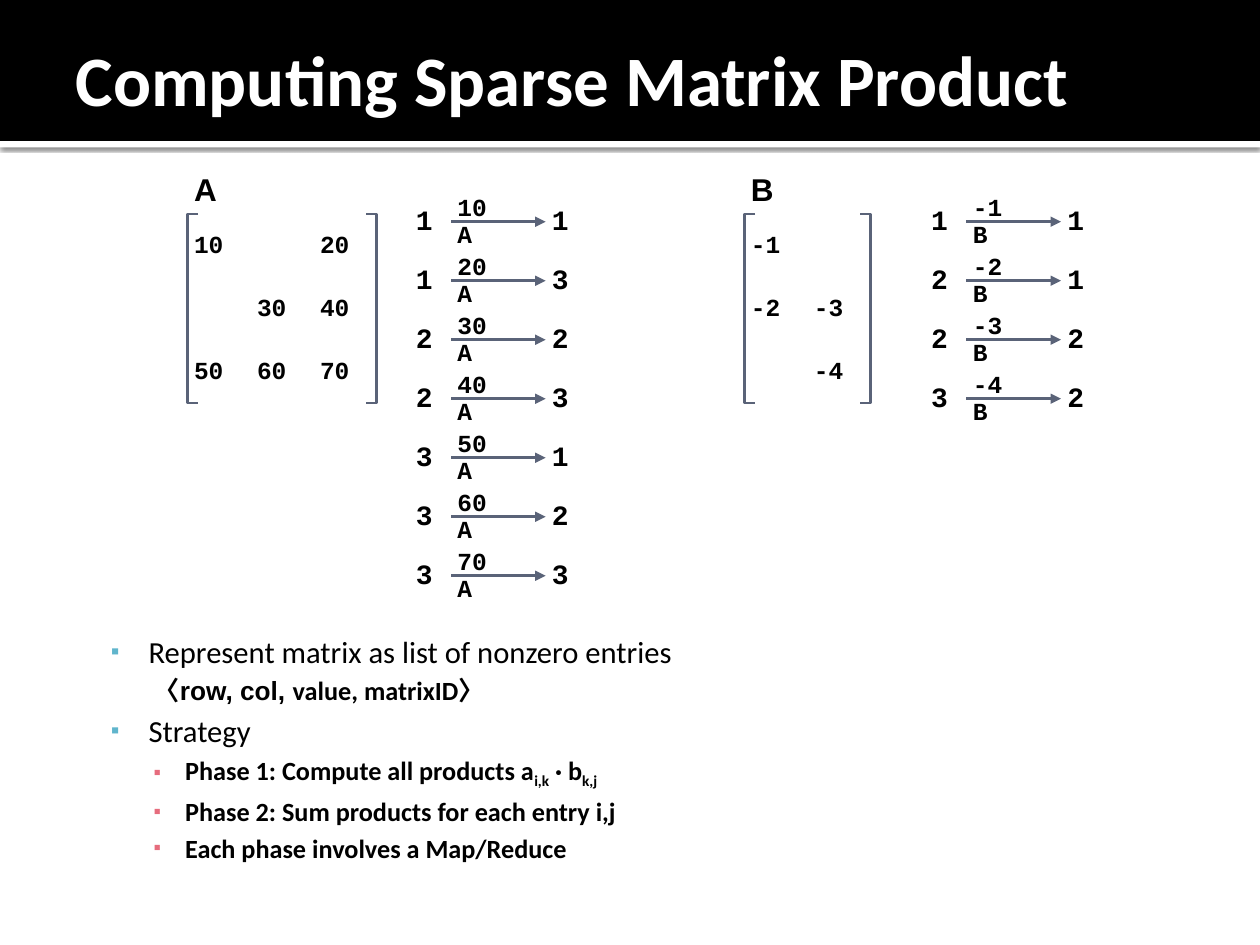
from lxml.etree import SubElement
from pptx import Presentation
from pptx.dml.color import RGBColor
from pptx.enum.shapes import MSO_CONNECTOR, MSO_SHAPE
from pptx.enum.text import MSO_ANCHOR, MSO_AUTO_SIZE, PP_ALIGN
from pptx.oxml.ns import qn
from pptx.util import Pt

BLACK = RGBColor(0x00, 0x00, 0x00)
WHITE = RGBColor(0xFF, 0xFF, 0xFF)
SLATE = RGBColor(0x5A, 0x63, 0x78)
SKY = RGBColor(0x60, 0xB5, 0xCC)
ROSE = RGBColor(0xE6, 0x6C, 0x7D)

TITLE = "Computing Sparse Matrix Product"
MATRICES = [
    {"name": "A", "left": 107.3, "list_left": 234,
     "rows": [[10, None, 20], [None, 30, 40], [50, 60, 70]]},
    {"name": "B", "left": 425.5, "list_left": 528.5,
     "rows": [[-1, None], [-2, -3], [None, -4]]},
]
BODY = [
    (0, SKY, [("Represent matrix as list of nonzero entries", {})]),
    (1, None, [("〈", {}), ("row, col, ", {"name": "Arial"}), ("value, matrixID〉", {})]),
    (0, SKY, [("Strategy", {})]),
    (1, ROSE, [("Phase 1: Compute all products a", {}), ("i,k", {"subscript": True}),
               (" · b", {}), ("k,j", {"subscript": True})]),
    (1, ROSE, [("Phase 2: Sum products for each entry i,j", {})]),
    (1, ROSE, [("Each phase involves a Map/Reduce", {})]),
]

TITLE_FONT = {"name": "Calibri", "size": Pt(40.5), "bold": True}
BODY_FONTS = [
    {"name": "Calibri", "size": Pt(17.5), "bold": False},
    {"name": "Calibri", "size": Pt(15), "bold": True},
]
BODY_INDENTS = [(57.6, -21.6), (78.5, -18)]
BODY_SPACING = [3.5, 3]
NAME_FONT = {"name": "Arial", "size": Pt(18), "bold": True}
INDEX_FONT = {"name": "Courier New", "size": Pt(16), "bold": True}
VALUE_FONT = {"name": "Courier New", "size": Pt(14), "bold": True}

CELL, MATRIX_TOP, BRACKET_LIP = 36, 122.4, 6
NAME_TOP, NAME_HEIGHT = 95.8, 26.6
ENTRY_TOP, ENTRY_PITCH = 114.2, 33.72
INDEX_WIDTH, INDEX_HEIGHT, ARROW_LENGTH = 23.8, 25, 54
LABEL_HEIGHT, LABEL_OFFSETS = 23, (-6.8, 9.1)


def apply(target, formats):
    for name, value in formats.items():
        setattr(target, name, value)


def set_font(font, formats, color=BLACK):
    apply(font, formats)
    font.color.rgb = color


def set_place(shape, *lengths):
    apply(shape, dict(zip(("left", "top", "width", "height"), map(Pt, lengths))))


def set_frame(frame, anchor, margins):
    sides = ("margin_left", "margin_top", "margin_right", "margin_bottom")
    apply(frame, dict(zip(sides, map(Pt, margins))))
    apply(frame, {"word_wrap": True, "auto_size": MSO_AUTO_SIZE.NONE,
                  "vertical_anchor": anchor})


def add_label(group, text, place, font, anchor=MSO_ANCHOR.MIDDLE):
    box = group.shapes.add_textbox(*map(Pt, place))
    set_frame(box.text_frame, anchor, [3.6] * 4)
    para = box.text_frame.paragraphs[0]
    para.line_spacing = 0.9
    span = para.add_run()
    span.text = str(text)
    set_font(span.font, font)
    return box


def style_line(shape):
    shape.line.color.rgb = SLATE
    shape.line.width = Pt(1.5)


def add_bracket(group, edge, lip, height):
    bottom = MATRIX_TOP + height
    builder = group.shapes.build_freeform(Pt(lip), Pt(MATRIX_TOP))
    corners = [(edge, MATRIX_TOP), (edge, bottom), (lip, bottom)]
    builder.add_line_segments([(Pt(x), Pt(y)) for x, y in corners], close=False)
    bracket = builder.convert_to_shape()
    bracket.shadow.inherit = False
    bracket.fill.background()
    style_line(bracket)


def add_matrix(page, name, left, rows):
    group = page.shapes.add_group_shape()
    width, height = CELL * len(rows[0]), CELL * len(rows)
    for i, row in enumerate(rows):
        for j, value in enumerate(row):
            if value is not None:
                place = (left + j * CELL, MATRIX_TOP + i * CELL, CELL, CELL)
                add_label(group, value, place, VALUE_FONT)
    add_bracket(group, left, left + BRACKET_LIP, height)
    add_bracket(group, left + width, left + width - BRACKET_LIP, height)
    add_label(group, name, (left, NAME_TOP, width, NAME_HEIGHT), NAME_FONT, MSO_ANCHOR.TOP)


def add_arrow(group, source, target):
    arrow = group.shapes.add_connector(MSO_CONNECTOR.STRAIGHT, 0, 0, 0, 0)
    arrow.begin_connect(source, 3)
    arrow.end_connect(target, 1)
    style_line(arrow)
    SubElement(arrow.line._get_or_add_ln(), qn("a:tailEnd"), type="triangle")
    SubElement(arrow._element.spPr, qn("a:effectLst"))


def add_entries(page, name, left, rows):
    group = page.shapes.add_group_shape()
    entries = [(i, j, value) for i, row in enumerate(rows, 1)
               for j, value in enumerate(row, 1) if value is not None]
    arrow_left = left + INDEX_WIDTH
    for number, (i, j, value) in enumerate(entries):
        top = ENTRY_TOP + number * ENTRY_PITCH
        ends = [add_label(group, index, (x, top, INDEX_WIDTH, INDEX_HEIGHT), INDEX_FONT)
                for index, x in ((i, left), (j, arrow_left + ARROW_LENGTH))]
        add_arrow(group, *ends)
        for text, offset in zip((value, name), LABEL_OFFSETS):
            place = (arrow_left, top + offset, ARROW_LENGTH, LABEL_HEIGHT)
            add_label(group, text, place, VALUE_FONT)


def add_band(page, position, place, color):
    band = page.shapes.add_shape(MSO_SHAPE.RECTANGLE, *map(Pt, place))
    band.shadow.inherit = False
    band.fill.solid()
    band.fill.fore_color.rgb = color
    band.line.fill.background()
    page.shapes._spTree.insert(2 + position, band._element)
    return band


def add_shadow(shape):
    effects = shape._element.spPr.find(qn("a:effectLst"))
    shadow = SubElement(effects, qn("a:outerShdw"), blurRad=str(Pt(2.5)),
                        dist=str(Pt(0.8)), dir="5400000", rotWithShape="0")
    color = SubElement(shadow, qn("a:srgbClr"), val=str(BLACK))
    SubElement(color, qn("a:alpha"), val="60000")


def set_bullet(para, level, color):
    properties = para._p.get_or_add_pPr()
    margin, indent = BODY_INDENTS[level]
    properties.set("marL", str(Pt(margin)))
    properties.set("indent", str(Pt(indent)))
    if color is None:
        SubElement(properties, qn("a:buNone"))
        return
    SubElement(SubElement(properties, qn("a:buClr")), qn("a:srgbClr"), val=str(color))
    SubElement(properties, qn("a:buSzPct"), val="80000")
    SubElement(properties, qn("a:buFont"), typeface="Arial")
    SubElement(properties, qn("a:buChar"), char="▪")


def fill_title(title):
    set_place(title, 36, 5.8, 648, 77.8)
    set_frame(title.text_frame, MSO_ANCHOR.MIDDLE, (7.2, 3.6, 3.6, 3.6))
    title.text_frame.text = TITLE
    para = title.text_frame.paragraphs[0]
    para.alignment = PP_ALIGN.LEFT
    set_font(para.runs[0].font, TITLE_FONT, WHITE)


def fill_body(body):
    set_place(body, 23, 354.2, 653.8, 128.9)
    frame = body.text_frame
    set_frame(frame, MSO_ANCHOR.TOP, (4.3, 7.2, 7.2, 3.6))
    for number, (level, color, spans) in enumerate(BODY):
        para = frame.add_paragraph() if number else frame.paragraphs[0]
        set_bullet(para, level, color)
        para.level = level
        para.space_before = Pt(BODY_SPACING[level] if number else 0)
        for text, changes in spans:
            span = para.add_run()
            span.text = text
            font = {**BODY_FONTS[level], **changes}
            subscript = font.pop("subscript", False)
            set_font(span.font, font)
            if subscript:
                span._r.get_or_add_rPr().set("baseline", "-25000")


def main():
    deck = Presentation()
    deck.slide_width, deck.slide_height = Pt(720), Pt(540)
    page = deck.slides.add_slide(deck.slide_layouts[1])
    add_shadow(add_band(page, 0, (0, 80.6, 720, 3.6), WHITE))
    add_band(page, 1, (0, 0, 720, 80.6), BLACK)
    fill_title(page.shapes.title)
    fill_body(page.placeholders[1])
    for matrix in MATRICES:
        add_entries(page, matrix["name"], matrix["list_left"], matrix["rows"])
        add_matrix(page, matrix["name"], matrix["left"], matrix["rows"])
    deck.save("out.pptx")


if __name__ == "__main__":
    main()
